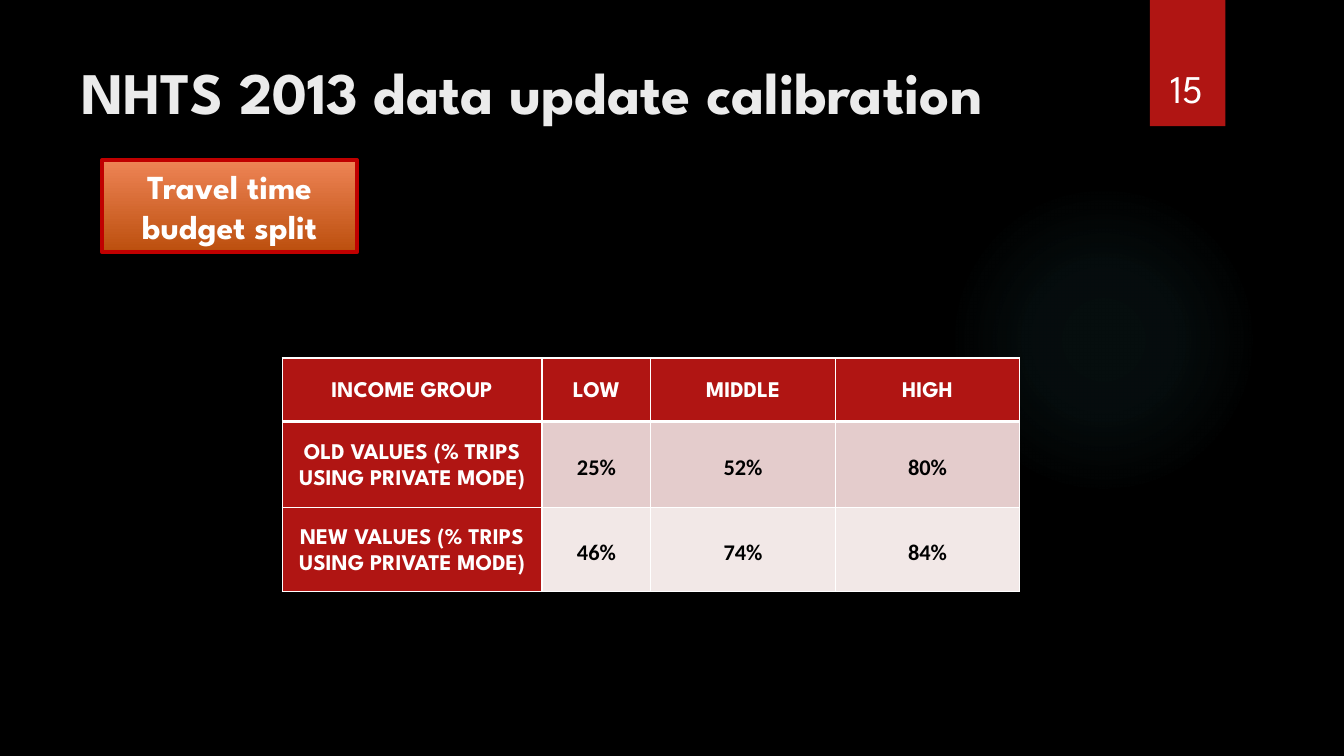
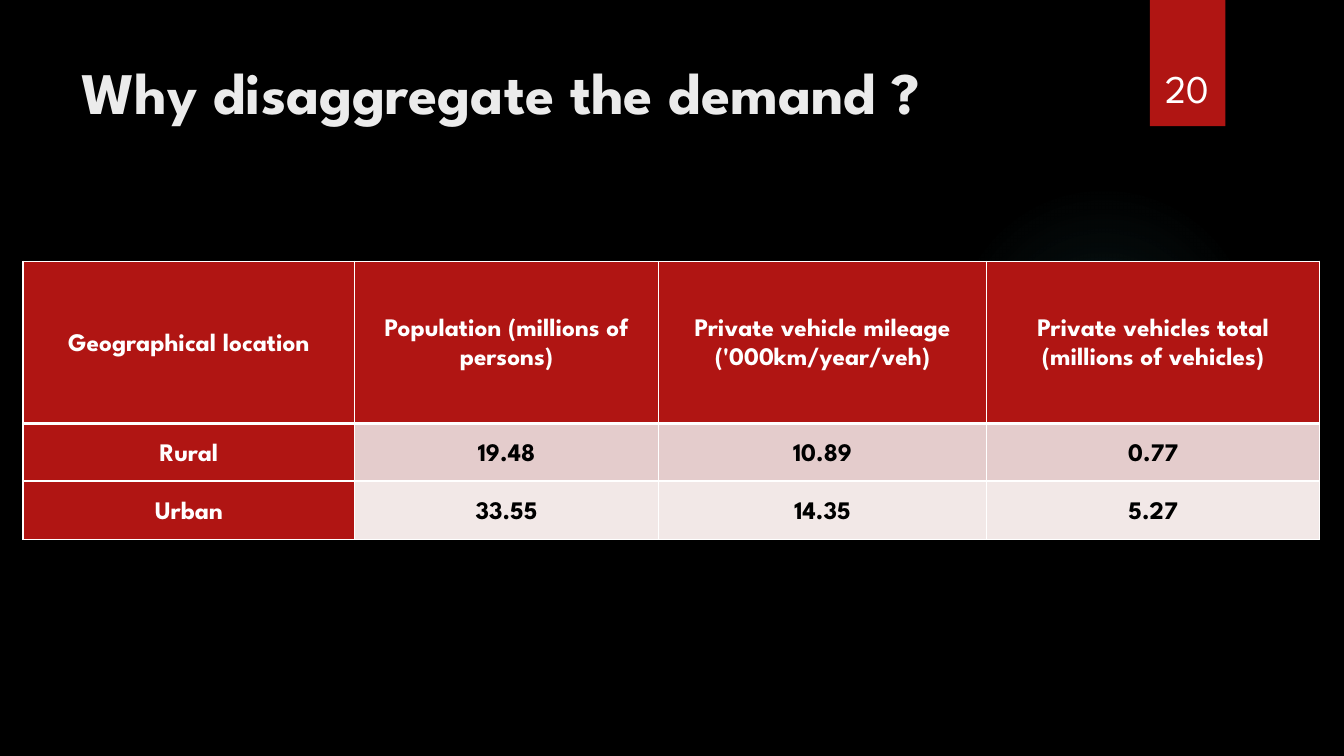
"""Build two slides on travel survey calibration and demand disaggregation."""
from lxml.etree import SubElement
from pptx import Presentation
from pptx.dml.color import RGBColor
from pptx.enum.shapes import MSO_SHAPE
from pptx.enum.text import MSO_ANCHOR, PP_ALIGN
from pptx.oxml import parse_xml
from pptx.oxml.ns import nsdecls, qn
from pptx.util import Cm, Pt

COLORS = {
    "background": "000000", "red": "B01513", "title": "EBEBEB", "white": "FFFFFF",
    "value": "000000", "odd_row": "E4CCCC", "even_row": "F2E8E7", "glow": "50B9C1",
    "badge_top": "EE8455", "badge_bottom": "BC4F0E", "badge_line": "C00000",
}
FONT = "League Spartan"

SLIDES = [
    {
        "title": "NHTS 2013 data update calibration",
        "number": "15",
        "badge": "Travel time budget split",
        "table": {
            "corner": (7.11, 9.02),
            "columns": [6.55, 2.74, 4.65, 4.65],
            "heights": [1.6, 2.16, 2.13],
            "size": 16,
            "value_font": "Calibri",
            "rows": [
                ("INCOME GROUP", "LOW", "MIDDLE", "HIGH"),
                ("OLD VALUES (% TRIPS USING PRIVATE MODE)", "25%", "52%", "80%"),
                ("NEW VALUES (% TRIPS USING PRIVATE MODE)", "46%", "74%", "84%"),
            ],
        },
    },
    {
        "title": "Why disaggregate the demand ?",
        "number": "20",
        "badge": None,
        "table": {
            "corner": (0.58, 6.58),
            "columns": [8.36, 7.65, 8.28, 8.38],
            "heights": [4.09, 1.45, 1.47],
            "size": 18,
            "value_font": FONT,
            "rows": [
                ("Geographical location", "Population (millions of persons)",
                 "Private vehicle mileage ('000km/year/veh)",
                 "Private vehicles total (millions of vehicles)"),
                ("Rural", "19.48", "10.89", "0.77"),
                ("Urban", "33.55", "14.35", "5.27"),
            ],
        },
    },
]


def rgb(name):
    return RGBColor.from_string(COLORS[name])


def write(frame, text, size, color, bold=True, font=FONT, align=PP_ALIGN.CENTER, spacing=None):
    frame.text = text
    frame.word_wrap = True
    paragraph = frame.paragraphs[0]
    paragraph.alignment = align
    paragraph.line_spacing = spacing
    face = paragraph.runs[0].font
    face.name, face.size, face.bold = font, Pt(size), bold
    face.color.rgb = rgb(color)


def add_panel(slide, preset, box, fill=None):
    panel = slide.shapes.add_shape(preset, *map(Cm, box))
    panel.shadow.inherit = False
    panel.line.fill.background()
    if fill:
        panel.fill.solid()
        panel.fill.fore_color.rgb = rgb(fill)
    return panel


def set_gradient(shape, stops, direction):
    """Fill a shape with (position, colour, opacity) stops, all in percent."""
    stop_xml = "".join(
        f'<a:gs pos="{position * 1000}"><a:srgbClr val="{COLORS[color]}">'
        f'<a:alpha val="{opacity * 1000}"/></a:srgbClr></a:gs>'
        for position, color, opacity in stops)
    gradient = parse_xml(f'<a:gradFill {nsdecls("a")} rotWithShape="1">'
                         f'<a:gsLst>{stop_xml}</a:gsLst>{direction}</a:gradFill>')
    shape.element.spPr.find(qn("a:prstGeom")).addnext(gradient)


def add_frame(slide, title, number):
    slide.background.fill.solid()
    slide.background.fill.fore_color.rgb = rgb("background")
    glow = add_panel(slide, MSO_SHAPE.OVAL, (23.9, 4.65, 7.82, 7.82))
    set_gradient(glow, [(0, "glow", 7), (36, "glow", 6), (69, "glow", 0)],
                 '<a:path path="circle"><a:fillToRect l="50000" t="50000" '
                 'r="50000" b="50000"/></a:path>')
    add_panel(slide, MSO_SHAPE.RECTANGLE, (28.98, 0, 1.9, 3.18), "red")
    heading = slide.shapes.add_textbox(Cm(1.8), Cm(1.28), Cm(26.14), Cm(3.89)).text_frame
    write(heading, title, 42, "title", align=PP_ALIGN.LEFT, spacing=Pt(50.4))
    page = slide.shapes.add_textbox(Cm(28.75), Cm(0.81), Cm(2.34), Cm(2.13)).text_frame
    write(page, number, 28, "white", bold=False)
    page.vertical_anchor = MSO_ANCHOR.BOTTOM


def add_badge(slide, text):
    badge = add_panel(slide, MSO_SHAPE.RECTANGLE, (2.57, 4.04, 6.43, 2.31))
    set_gradient(badge, [(0, "badge_top", 100), (100, "badge_bottom", 100)],
                 '<a:lin ang="5400000" scaled="0"/>')
    badge.line.color.rgb = rgb("badge_line")
    badge.line.width = Pt(3)
    write(badge.text_frame, text, 24, "white", spacing=Pt(28.8))
    badge.text_frame.vertical_anchor = MSO_ANCHOR.MIDDLE


def set_borders(cell, top, bottom):
    properties = cell._tc.get_or_add_tcPr()
    for side, width in (("L", 1), ("R", 1), ("T", top), ("B", bottom)):
        line = SubElement(properties, qn(f"a:ln{side}"), w=str(Pt(width)))
        fill = SubElement(line, qn("a:solidFill"))
        SubElement(fill, qn("a:srgbClr"), val=COLORS["white"])


def add_grid(slide, corner, columns, heights, size, value_font, rows):
    left, top = corner
    grid = slide.shapes.add_table(len(rows), len(columns), Cm(left), Cm(top),
                                  Cm(sum(columns)), Cm(sum(heights))).table
    for column, width in zip(grid.columns, columns):
        column.width = Cm(width)
    for row, height in zip(grid.rows, heights):
        row.height = Cm(height)
    for r, texts in enumerate(rows):
        for c, text in enumerate(texts):
            cell = grid.cell(r, c)
            is_label = r == 0 or c == 0
            set_borders(cell, 3 if r == 1 else 1, 3 if r == 0 else 1)
            cell.fill.solid()
            band = "odd_row" if r % 2 else "even_row"
            cell.fill.fore_color.rgb = rgb("red" if is_label else band)
            cell.margin_left = cell.margin_right = Cm(0.18)
            cell.margin_top = cell.margin_bottom = 0
            cell.vertical_anchor = MSO_ANCHOR.MIDDLE
            write(cell.text_frame, text, size, "white" if is_label else "value",
                  font=FONT if is_label else value_font, spacing=1.25)


def main():
    deck = Presentation()
    deck.slide_width, deck.slide_height = Cm(33.87), Cm(19.05)
    for content in SLIDES:
        slide = deck.slides.add_slide(deck.slide_layouts[6])
        add_frame(slide, content["title"], content["number"])
        if content["badge"]:
            add_badge(slide, content["badge"])
        add_grid(slide, **content["table"])
    deck.save("out.pptx")


if __name__ == "__main__":
    main()
